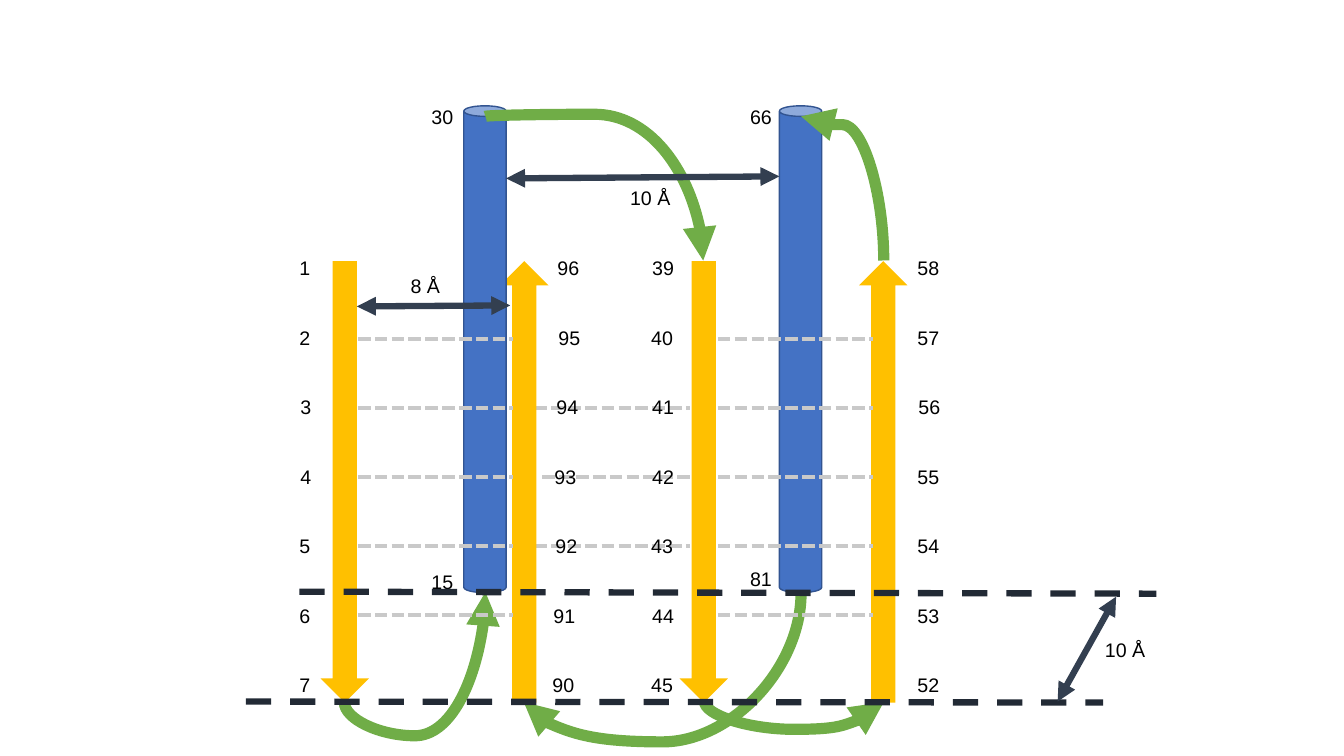
from lxml import etree
from pptx import Presentation
from pptx.dml.color import RGBColor
from pptx.enum.shapes import MSO_CONNECTOR as Link, MSO_SHAPE as Shape
from pptx.enum.text import MSO_AUTO_SIZE as AutoSize
from pptx.oxml.ns import qn
from pptx.util import Inches, Pt

GOLD = RGBColor(0xFF, 0xC0, 0x00)
BLUE = RGBColor(0x44, 0x72, 0xC4)
BLUE_EDGE = RGBColor(0x32, 0x54, 0x91)
GREEN = RGBColor(0x70, 0xAD, 0x47)
GREY = RGBColor(0xC9, 0xC9, 0xC9)
NAVY = RGBColor(0x22, 0x2A, 0x35)
SLATE = RGBColor(0x33, 0x3F, 0x50)
BLACK = RGBColor(0x00, 0x00, 0x00)

# Strands: left edge, rotation
STRANDS = [(3.18, 0), (4.96, 180), (6.74, 0), (8.52, 180)]
HELICES = [4.6, 7.73]

# Residue columns: first number, step, left edge of each label from top to bottom
RESIDUES = [
    (1, 1, (2.87, 2.87, 2.88, 2.88, 2.87, 2.87, 2.87)),
    (96, -1, (5.43, 5.44, 5.42, 5.4, 5.41, 5.39, 5.38)),
    (39, 1, (6.37, 6.36, 6.37, 6.37, 6.36, 6.37, 6.36)),
    (58, -1, (9, 9, 9.01, 9, 9, 9, 9)),
]
HELIX_ENDS = [("30", 4.18, 0.99), ("15", 4.18, 5.6),
              ("66", 7.34, 0.99), ("81", 7.34, 5.58)]
ROW_TOP, ROW_STEP = 2.49, 0.69

# Hydrogen bonds: left edge and row
BOND_TOP, BOND_STEP, BOND_LENGTH = 3.36, 0.685, 1.54
MIDDLE_BONDS = [(5.3, 3), (5.38, 2), (5.3, 1)]
OUTER_BONDS = [(left, row) for left in (3.55, 7.12) for row in range(5)]

# Loops: left, top, width, height before rotation; rotation; flips; bend in percent
LOOPS = [
    (3.57, 5.72, 1.09, 1.4, 90, "HV", -30.7),
    (5.18, 0.79, 1.43, 2.16, 270, "H", -1.5),
    (7.87, 6.07, 0.01, 1.78, 270, "H", 2850),
    (7.64, 1.46, 1.43, 0.82, 270, "V", 94.3),
    (6.03, 5.05, 1.08, 2.75, 90, "", 136.6),
]

PLANES = [(2.44, 6.96, 10.94, 6.97), (2.97, 5.87, 11.47, 5.89)]

# Distances: line ends, label, label box
DISTANCES = [
    ((11.07, 5.92, 10.49, 6.96), "10 Å", (10.86, 6.28, 0.61)),
    ((5.06, 3.03, 3.54, 3.04), " 8 Å", (3.92, 2.67, 0.55)),
    ((7.73, 1.75, 5.02, 1.77), "10 Å", (6.15, 1.8, 0.61)),
]

prs = Presentation()
prs.slide_width, prs.slide_height = Inches(13.33), Inches(7.5)
shapes = prs.slides.add_slide(prs.slide_layouts[6]).shapes


def add_line(ends, color, width, kind=Link.STRAIGHT, dash=None, arrows=()):
    line = shapes.add_connector(kind, *map(Inches, ends))
    line.line.color.rgb = color
    line.line.width = Pt(width)
    ln = line.line._get_or_add_ln()
    if dash:
        etree.SubElement(ln, qn("a:prstDash")).set("val", dash)
    for arrow in arrows:
        etree.SubElement(ln, qn("a:" + arrow)).set("type", "triangle")
    etree.SubElement(line._element.spPr, qn("a:effectLst"))
    return line


def add_loop(left, top, width, height, rotation, flips, bend):
    loop = add_line((left, top, left + width, top + height), GREEN, 8,
                    Link.CURVE, arrows=["tailEnd"])
    spPr = loop._element.spPr
    xfrm = spPr.find(qn("a:xfrm"))
    xfrm.set("rot", str(rotation * 60000))
    for flip in flips:
        xfrm.set("flip" + flip, "1")
    geometry = spPr.find(qn("a:prstGeom"))
    guides = geometry.find(qn("a:avLst"))
    if guides is None:
        guides = etree.SubElement(geometry, qn("a:avLst"))
    guide = etree.SubElement(guides, qn("a:gd"))
    guide.set("name", "adj1")
    guide.set("fmla", f"val {round(bend * 1000)}")


def add_solid(kind, box, fill, edge=None):
    solid = shapes.add_shape(kind, *map(Inches, box))
    solid.shadow.inherit = False
    solid.fill.solid()
    solid.fill.fore_color.rgb = fill
    if edge is None:
        solid.line.fill.background()
    else:
        solid.line.color.rgb = edge
        solid.line.width = Pt(1)
    return solid


def add_label(text, left, top, width, wrap=True):
    label = shapes.add_textbox(*map(Inches, (left, top, width, 0.34)))
    frame = label.text_frame
    frame.word_wrap = wrap
    frame.auto_size = AutoSize.SHAPE_TO_FIT_TEXT
    run = frame.paragraphs[0].add_run()
    run.text = text
    run.font.name = "Arial"
    run.font.size = Pt(14)
    run.font.color.rgb = BLACK


def add_bonds(bonds):
    for left, row in bonds:
        y = BOND_TOP + row * BOND_STEP
        add_line((left, y, left + BOND_LENGTH, y), GREY, 3, dash="sysDash")


# Bonds behind the strands, then strands, helices and loops
add_bonds(MIDDLE_BONDS)
for left, rotation in STRANDS:
    add_solid(Shape.DOWN_ARROW, (left, 2.59, 0.48, 4.38), GOLD).rotation = rotation
for left in HELICES:
    add_solid(Shape.CAN, (left, 1.05, 0.42, 4.83), BLUE, BLUE_EDGE)
for loop in LOOPS:
    add_loop(*loop)

# Residue numbers
for first, step, lefts in RESIDUES:
    for row, left in enumerate(lefts):
        number = str(first + step * row)
        add_label(number, left, ROW_TOP + row * ROW_STEP,
                  0.31 if len(number) == 1 else 0.42)
for number, left, top in HELIX_ENDS:
    add_label(number, left, top, 0.42)

# Bonds in front, planes and distances
add_bonds(OUTER_BONDS)
for plane in PLANES:
    add_line(plane, NAVY, 4.5, dash="dash")
for ends, distance, place in DISTANCES:
    add_line(ends, SLATE, 4.5, arrows=["headEnd", "tailEnd"])
    add_label(distance, *place, wrap=False)

prs.save("out.pptx")
